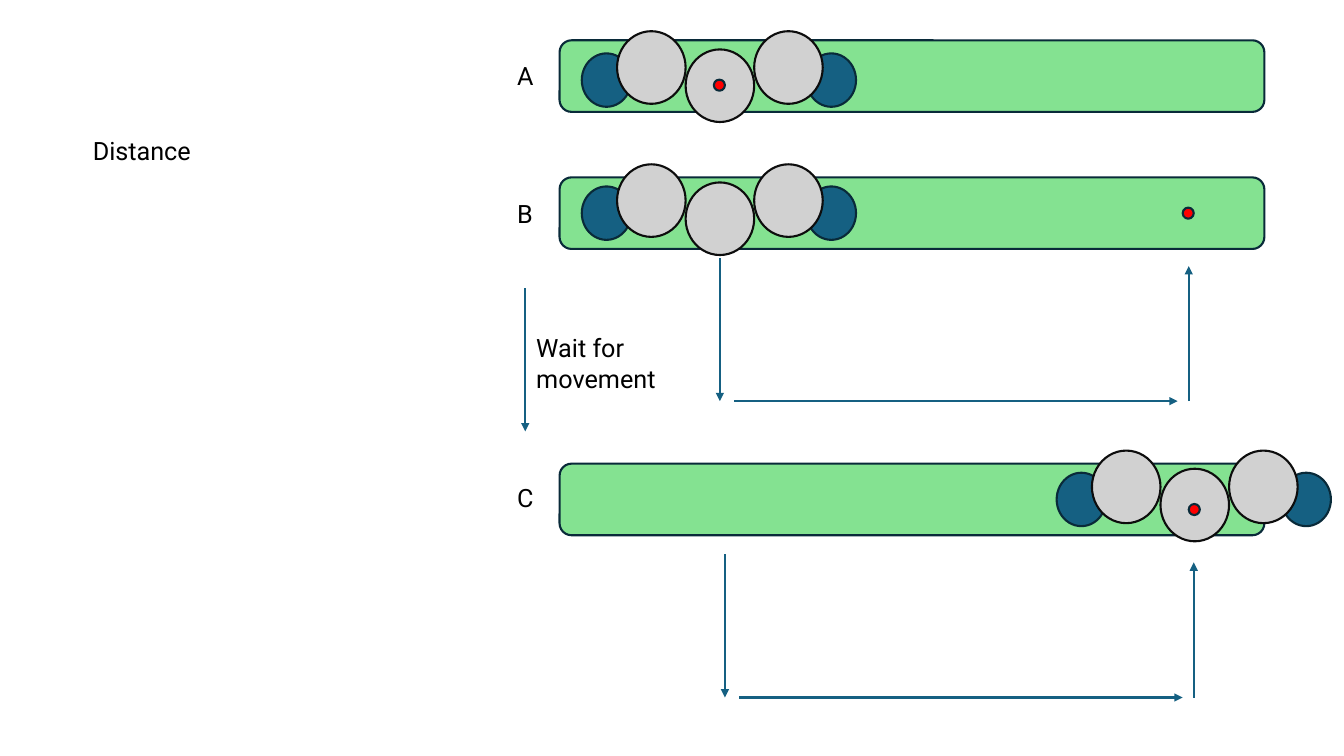
from dataclasses import dataclass

from lxml.etree import SubElement
from pptx import Presentation
from pptx.dml.color import RGBColor
from pptx.enum.shapes import MSO_CONNECTOR as CONNECTOR, MSO_SHAPE as SHAPE
from pptx.enum.text import MSO_ANCHOR as ANCHOR, MSO_AUTO_SIZE as AUTO_SIZE, PP_ALIGN as ALIGN
from pptx.oxml.ns import qn
from pptx.util import Inches, Pt


@dataclass(frozen=True)
class Theme:
    font: str = "Roboto"
    text_size: float = 18
    line_width: float = 1.5
    text: str = "000000"
    track: str = "84E291"
    outline: str = "092A39"
    accent: str = "156082"
    ball: str = "D1D1D1"
    ball_outline: str = "0D0D0D"
    dot: str = "FF0000"


THEME = Theme()
TITLE_ONLY = 5

TRACK_LEFT, TRACK_WIDTH, TRACK_HEIGHT = 5.55, 6.99, 0.71
LABEL_LEFT, LABEL_WIDTH, LABEL_HEIGHT = 5.03, 2.46, 0.4
SIDE_SIZE = (0.49, 0.53)
BALL_SIZE = (0.68, 0.72)
DOT_SIZE = (0.11, 0.11)

# Row letter: (track top, label top)
ROWS = {"A": (0.4, 0.55), "B": (1.76, 1.92), "C": (4.6, 4.74)}


def add_filled(shapes, kind, left, top, size, fill, outline=THEME.outline):
    width, height = size
    shape = shapes.add_shape(kind, Inches(left), Inches(top), Inches(width), Inches(height))
    shape.shadow.inherit = False
    shape.fill.solid()
    shape.fill.fore_color.rgb = RGBColor.from_string(fill)
    shape.line.color.rgb = RGBColor.from_string(outline)
    shape.line.width = Pt(THEME.line_width)


def add_dot(shapes, left, top):
    add_filled(shapes, SHAPE.OVAL, left, top, DOT_SIZE, THEME.dot)


def add_cluster(shapes, left, top):
    """Draw two side circles behind three touching balls, the middle one lower."""
    for offset in (2.23, 0):
        add_filled(shapes, SHAPE.OVAL, left + offset, top + 0.22, SIDE_SIZE, THEME.accent)
    for index, drop in enumerate((0, 0.18, 0)):
        ball_left = left + 0.35 + index * BALL_SIZE[0]
        add_filled(shapes, SHAPE.OVAL, ball_left, top + drop, BALL_SIZE,
                   THEME.ball, THEME.ball_outline)


def add_arrow(shapes, start, end):
    points = [Inches(value) for value in (*start, *end)]
    arrow = shapes.add_connector(CONNECTOR.STRAIGHT, *points)
    arrow.line.color.rgb = RGBColor.from_string(THEME.accent)
    arrow.line.width = Pt(THEME.line_width)
    SubElement(arrow.line._get_or_add_ln(), qn("a:tailEnd"), type="triangle")
    SubElement(arrow._element.spPr, qn("a:effectLst"))


def add_route(shapes, left, top):
    """Draw arrows going down, across and back up."""
    bottom, right = top + 1.42, left + 4.65
    add_arrow(shapes, (left + 0.14, bottom), (right - 0.11, bottom))
    add_arrow(shapes, (left, top), (left, bottom))
    add_arrow(shapes, (right, bottom), (right, top + 0.08))


def write_text(shape, text, left, top, width, height):
    shape.left, shape.top = Inches(left), Inches(top)
    shape.width, shape.height = Inches(width), Inches(height)
    frame = shape.text_frame
    frame.word_wrap = True
    frame.auto_size = AUTO_SIZE.SHAPE_TO_FIT_TEXT
    frame.vertical_anchor = ANCHOR.TOP
    paragraph = frame.paragraphs[0]
    paragraph.alignment = ALIGN.LEFT
    run = paragraph.add_run()
    run.text = text
    run.font.name = THEME.font
    run.font.size = Pt(THEME.text_size)
    run.font.color.rgb = RGBColor.from_string(THEME.text)


def add_label(shapes, text, left, top, width=LABEL_WIDTH, height=LABEL_HEIGHT):
    write_text(shapes.add_textbox(0, 0, 0, 0), text, left, top, width, height)


def main():
    presentation = Presentation()
    presentation.slide_width, presentation.slide_height = Inches(13.33), Inches(7.5)
    slide = presentation.slides.add_slide(presentation.slide_layouts[TITLE_ONLY])
    shapes = slide.shapes

    write_text(shapes.title, "Distance", 0.82, 1.29, LABEL_WIDTH, LABEL_HEIGHT)
    for letter, (track_top, label_top) in ROWS.items():
        add_filled(shapes, SHAPE.ROUNDED_RECTANGLE, TRACK_LEFT, track_top,
                   (TRACK_WIDTH, TRACK_HEIGHT), THEME.track)
        add_label(shapes, letter, LABEL_LEFT, label_top)

    start = shapes.add_group_shape().shapes
    add_cluster(start, 5.77, 0.31)
    add_dot(start, 7.08, 0.79)

    add_cluster(shapes.add_group_shape().shapes, 5.77, 1.63)
    add_route(shapes, 7.14, 2.56)
    add_dot(shapes, 11.73, 2.06)

    moved = shapes.add_group_shape().shapes
    add_cluster(moved, 10.48, 4.47)
    add_route(moved, 7.19, 5.5)
    add_dot(moved, 11.79, 5)

    add_arrow(shapes, (5.21, 2.86), (5.21, 4.28))
    add_label(shapes, "Wait for movement", 5.22, 3.25, 1.45, 0.71)

    presentation.save("out.pptx")


if __name__ == "__main__":
    main()
